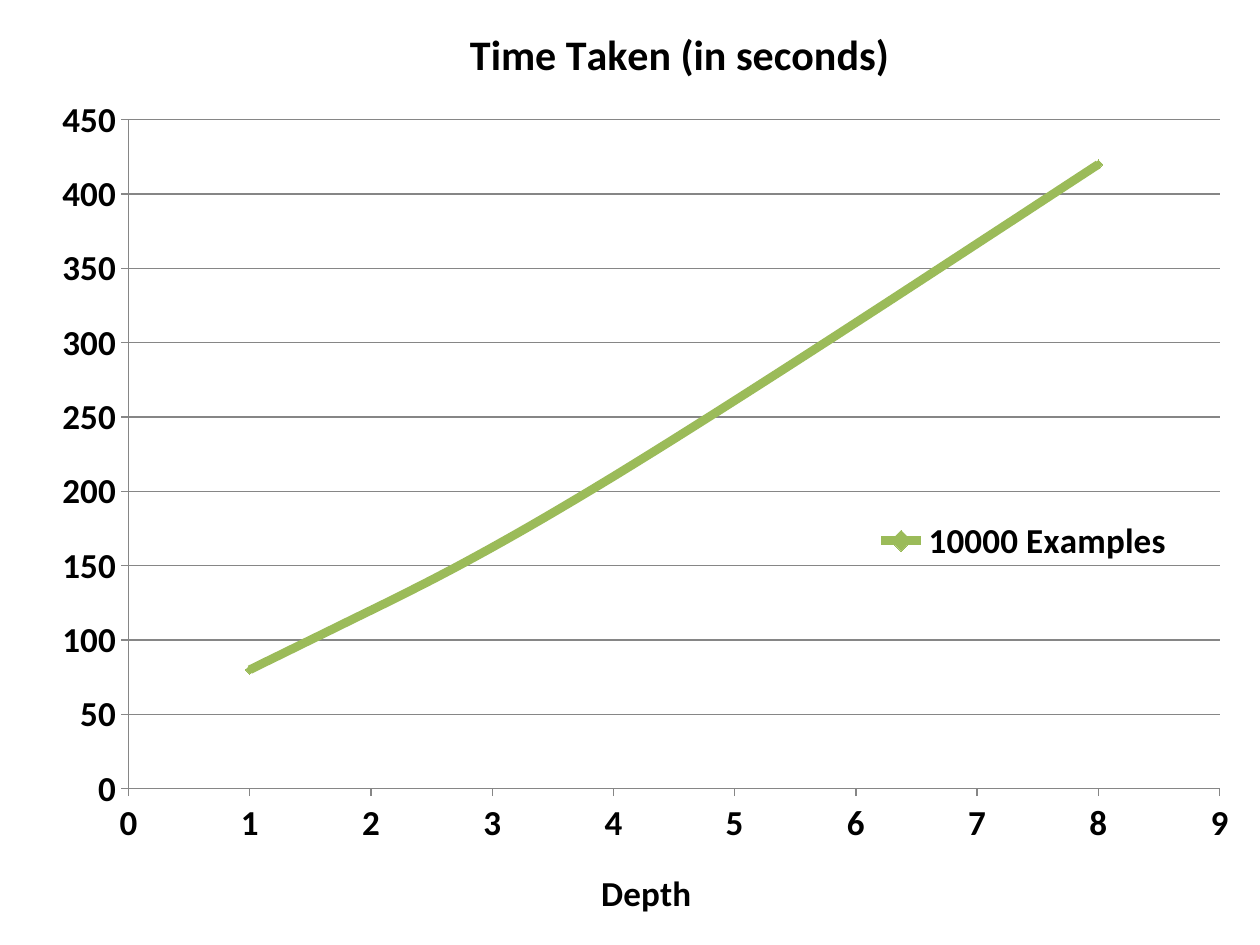
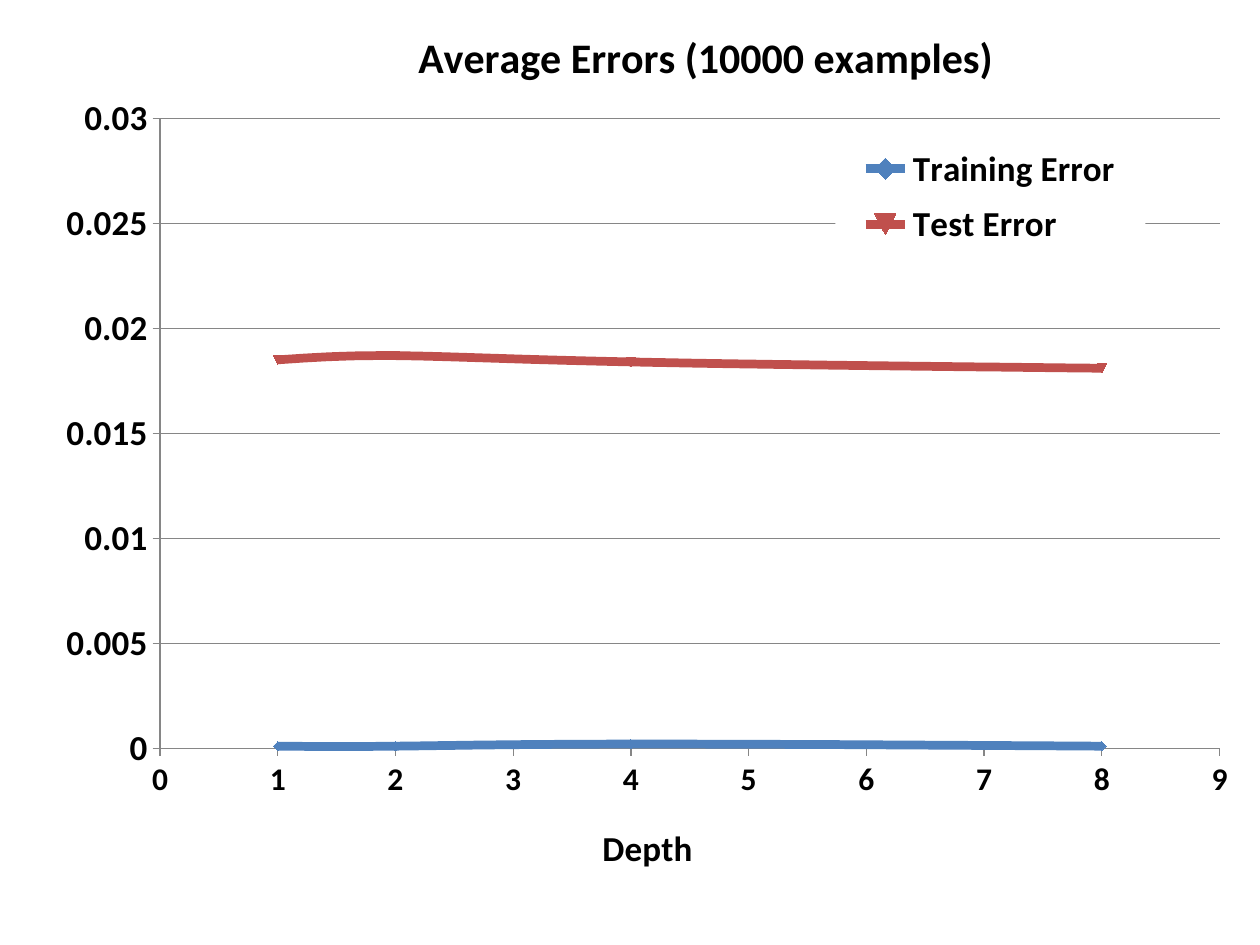
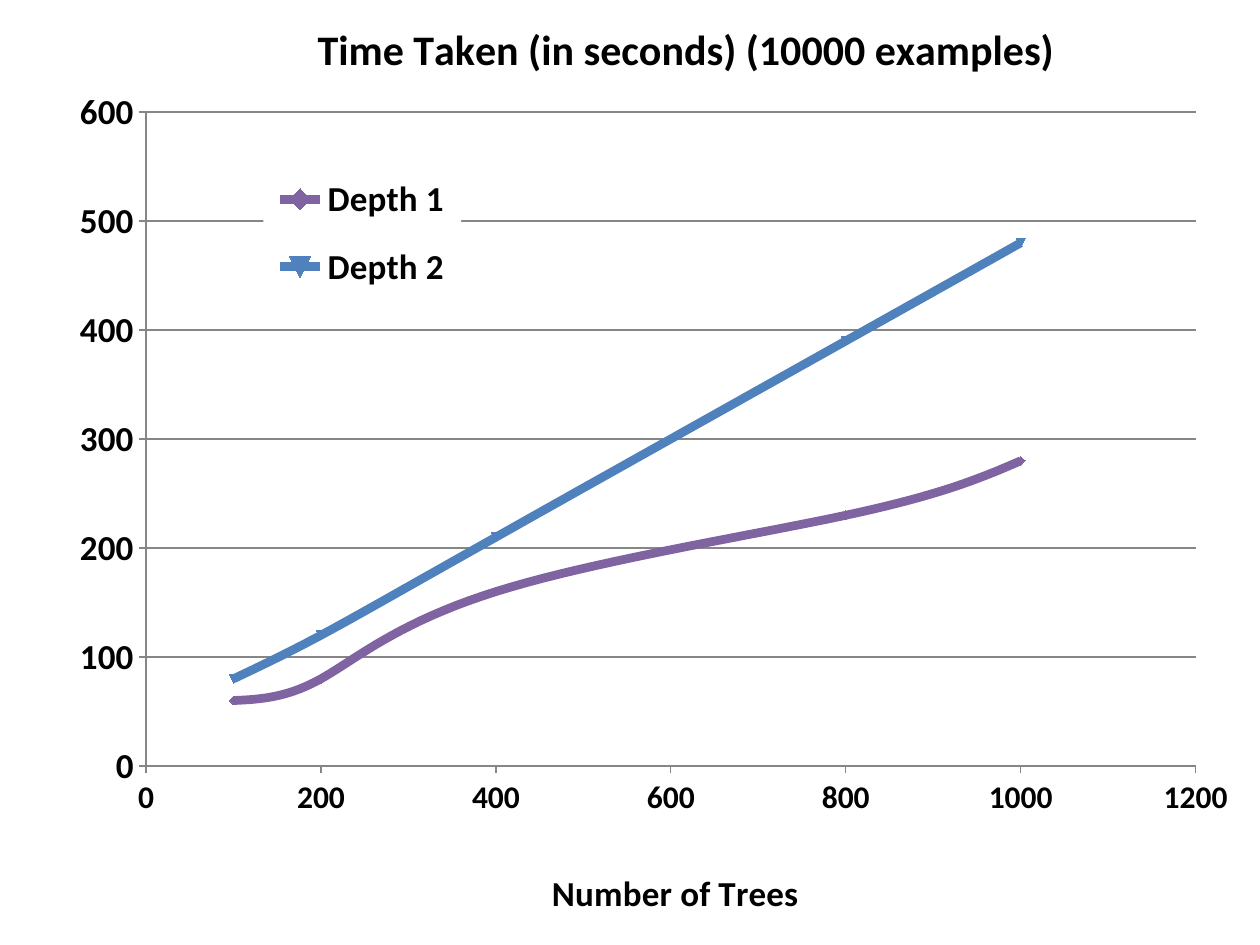
from lxml import etree
from pptx import Presentation
from pptx.chart.data import XyChartData
from pptx.dml.color import RGBColor
from pptx.enum.chart import XL_CHART_TYPE, XL_LEGEND_POSITION, XL_TICK_MARK
from pptx.oxml.ns import qn
from pptx.util import Inches, Pt

SMOOTH = XL_CHART_TYPE.XY_SCATTER_SMOOTH
LEFT = XL_LEGEND_POSITION.LEFT
RIGHT = XL_LEGEND_POSITION.RIGHT
OUT = XL_TICK_MARK.OUTSIDE
NONE = XL_TICK_MARK.NONE

WIDE, HIGH = 10, 7.5

THEME = {
    "font": "Calibri",
    "text": "000000",
    "back": "FFFFFF",
    "grid": "868686",
    "blue": "4F81BD",
    "red": "C0504D",
    "green": "9BBB59",
    "purple": "8064A2",
    "title": 24,
    "label": 20,
    "small": 18,
    "base": 10,
    "curve": 5,
    "rule": 0.75,
    "mark": 5,
}

DEPTHS = [1, 2, 4, 8]
TREES = [100, 200, 400, 800, 1000]

SLIDES = [
    {
        "title": "Time Taken (in seconds)",
        "head": (3.67, 0.15),
        "axis": "Depth",
        "foot": (4.72, 6.84),
        "ticks": "label",
        "plot": (1.02, 0.95, 8.66, 5.31),
        "side": RIGHT,
        "key": (6.76, 4.12, 2.73, 0.34),
        "xs": DEPTHS,
        "curves": [("10000 Examples", "green", [80, 120, 210, 420])],
    },
    {
        "title": "Average Errors (10000 examples)",
        "head": (3.26, 0.17),
        "axis": "Depth",
        "foot": (4.73, 6.48),
        "ticks": "small",
        "top": 0.03,
        "plot": (1.27, 0.94, 8.41, 5),
        "side": RIGHT,
        "key": (6.63, 1.07, 2.46, 0.98),
        "xs": DEPTHS,
        "curves": [
            ("Training Error", "blue", [0.0001, 0.0001, 0.0002, 0.0001]),
            ("Test Error", "red", [0.0185, 0.0187, 0.0184, 0.0181]),
        ],
    },
    {
        "title": "Time Taken (in seconds) (10000 examples)",
        "head": (2.46, 0.11),
        "axis": "Number of Trees",
        "foot": (4.33, 6.84),
        "ticks": "small",
        "plot": (1.16, 0.89, 8.33, 5.19),
        "side": LEFT,
        "key": (2.09, 1.22, 1.57, 1.26),
        "xs": TREES,
        "curves": [
            ("Depth 1", "purple", [60, 80, 160, 230, 280]),
            ("Depth 2", "blue", [80, 120, 210, 390, 480]),
        ],
    },
]


def style(font, size):
    look = {"name": THEME["font"], "size": Pt(THEME[size]), "bold": size != "base"}
    for name, value in look.items():
        setattr(font, name, value)
    font.color.rgb = RGBColor.from_string(THEME["text"])


def place(node, index, box, inner=False):
    for old in node.findall(qn("c:layout")):
        node.remove(old)
    layout = etree.Element(qn("c:layout"))
    manual = etree.SubElement(layout, qn("c:manualLayout"))
    parts = [("layoutTarget", "inner")] if inner else []
    parts += [("xMode", "edge"), ("yMode", "edge")]
    for name, side, whole in zip("xywh", box, (WIDE, HIGH, WIDE, HIGH)):
        parts.append((name, round(side / whole, 4)))
    for name, value in parts:
        etree.SubElement(manual, qn("c:" + name), val=str(value))
    node.insert(index, layout)


deck = Presentation()
deck.slide_width = Inches(WIDE)
deck.slide_height = Inches(HIGH)

for page in SLIDES:
    slide = deck.slides.add_slide(deck.slide_layouts[6])
    data = XyChartData()
    for name, tone, values in page["curves"]:
        curve = data.add_series(name)
        for x, y in zip(page["xs"], values):
            curve.add_data_point(x, y)
    frame = slide.shapes.add_chart(
        SMOOTH, 0, 0, deck.slide_width, deck.slide_height, data
    )
    chart = frame.chart
    root = chart.element
    style(chart.font, "base")
    chart.plots[0].vary_by_categories = False

    across, up = chart.category_axis, chart.value_axis
    titles = [
        (chart.chart_title, page["title"], "title"),
        (across.axis_title, page["axis"], "label"),
    ]
    for title, text, size in titles:
        title.text_frame.text = text
        style(title.text_frame.paragraphs[0].runs[0].font, size)

    ticks = {"major_tick_mark": OUT, "minor_tick_mark": NONE}
    lines = []
    for axis, size, grid in [(across, page["ticks"], False), (up, "label", True)]:
        for name, value in {**ticks, "has_major_gridlines": grid}.items():
            setattr(axis, name, value)
        style(axis.tick_labels.font, size)
        lines.append(axis.format.line)
    lines.append(up.major_gridlines.format.line)
    for line in lines:
        line.color.rgb = RGBColor.from_string(THEME["grid"])
        line.width = Pt(THEME["rule"])
    up.minimum_scale = 0
    if "top" in page:
        up.maximum_scale = page["top"]

    for curve, (name, tone, values) in zip(chart.plots[0].series, page["curves"]):
        color = RGBColor.from_string(THEME[tone])
        curve.format.line.color.rgb = color
        curve.format.line.width = Pt(THEME["curve"])
        curve.marker.size = THEME["mark"]
        curve.marker.format.fill.solid()
        curve.marker.format.fill.fore_color.rgb = color
        curve.marker.format.line.color.rgb = color
    for smooth in root.xpath("//c:ser/c:smooth"):
        smooth.set("val", "1")

    chart.has_legend = True
    for name, value in {"position": page["side"], "include_in_layout": True}.items():
        setattr(chart.legend, name, value)
    style(chart.legend.font, "label")

    key = root.xpath("c:chart/c:legend")[0]
    area = root.xpath("c:chart/c:plotArea")[0]
    place(area, 0, page["plot"], inner=True)
    place(root.xpath("c:chart/c:title")[0], 1, page["head"])
    place(area.xpath("c:valAx/c:title")[0], 1, page["foot"])
    place(key, 1, page["key"])
    shape = etree.Element(qn("c:spPr"))
    fill = etree.SubElement(shape, qn("a:solidFill"))
    etree.SubElement(fill, qn("a:srgbClr"), val=THEME["back"])
    key.find(qn("c:overlay")).addnext(shape)

deck.save("out.pptx")
